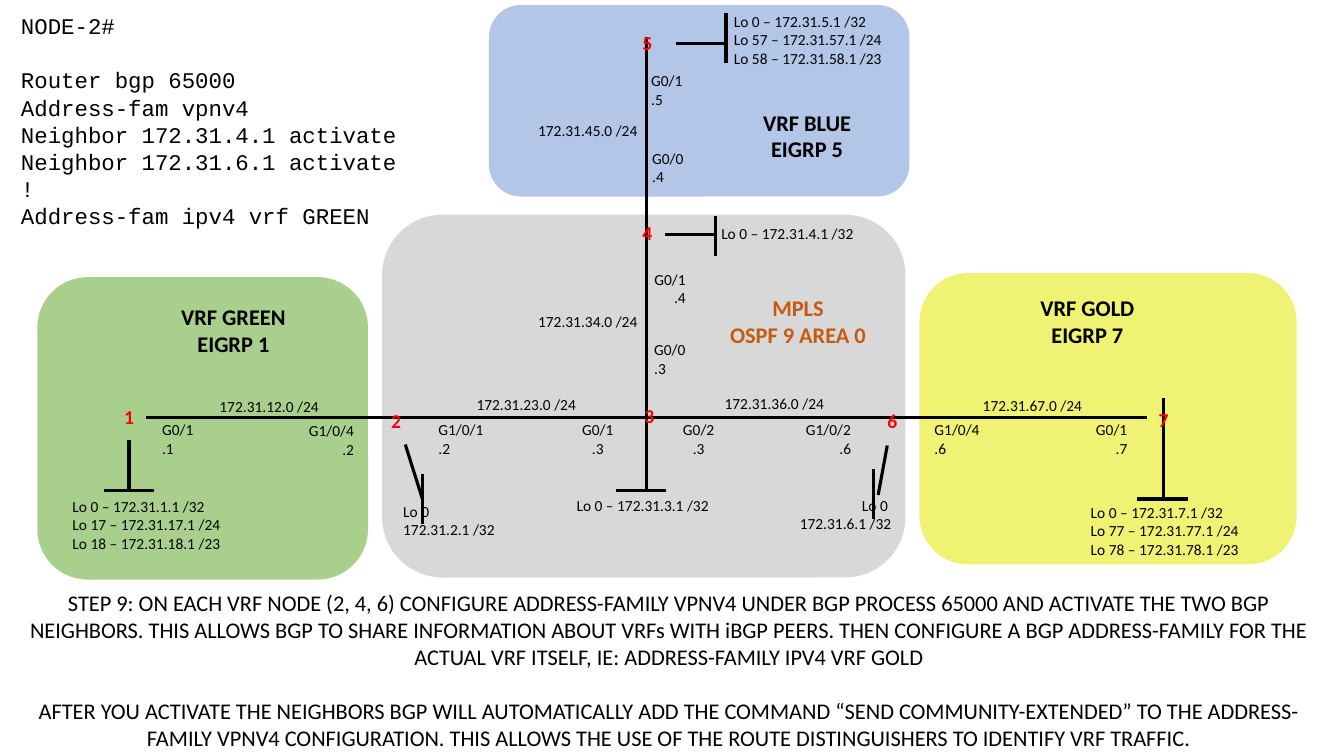
from pptx import Presentation
from pptx.dml.color import RGBColor
from pptx.enum.shapes import MSO_CONNECTOR as Link, MSO_SHAPE as Shape
from pptx.enum.text import PP_ALIGN as Align
from pptx.oxml.ns import qn
from pptx.util import Inches, Pt
from lxml import etree

L, C, R = Align.LEFT, Align.CENTER, Align.RIGHT


def color(code):
    return RGBColor.from_string(code)


def write(x, y, w, h, text, align=L, size=11, code="000000",
          bold=False, face="Calibri", wrap=True):
    box = slide.shapes.add_textbox(Inches(x), Inches(y), Inches(w), Inches(h))
    frame = box.text_frame
    frame.text = text
    frame.word_wrap = wrap
    for para in frame.paragraphs:
        para.alignment = align
        for run in para.runs:
            font = run.font
            font.name, font.size, font.bold = face, Pt(size), bold
            font.color.rgb = color(code)
    return frame


deck = Presentation()
deck.slide_width, deck.slide_height = Inches(13.33), Inches(7.5)
slide = deck.slides.add_slide(deck.slide_layouts[6])

# Routing areas
areas = [
    (4.85, 0.05, 4.17, 1.9, "B3C6E7"),
    (9.12, 2.71, 3.74, 2.89, "EFF272"),
    (0.37, 2.75, 3.28, 3, "A8D08C"),
    (3.79, 2.13, 5.19, 3.6, "D8D8D8"),
]
for x, y, w, h, code in areas:
    area = slide.shapes.add_shape(
        Shape.ROUNDED_RECTANGLE, Inches(x), Inches(y), Inches(w), Inches(h))
    area.shadow.inherit = False
    area.fill.solid()
    area.fill.fore_color.rgb = color(code)
    area.line.fill.background()

# Links between nodes, then stems and bars of the loopbacks
links = [
    (6.41, 4.87, 6.41, 0.37), (1.45, 4.14, 11.38, 4.14),
    (1.28, 4.37, 1.28, 4.87), (1.03, 4.87, 1.53, 4.87),
    (4.02, 4.41, 4.19, 4.95), (4.19, 5.2, 4.19, 4.7),
    (6.11, 4.87, 6.61, 4.87),
    (6.6, 2.33, 7.1, 2.33), (7.1, 2.54, 7.1, 2.14),
    (7.2, 0.43, 6.7, 0.43), (7.2, 0.13, 7.2, 0.63),
    (8.8, 4.42, 8.71, 4.91), (8.66, 5.15, 8.66, 4.65),
    (11.54, 4.95, 11.54, 3.95), (11.28, 4.95, 11.78, 4.95),
]
for ends in links:
    link = slide.shapes.add_connector(Link.STRAIGHT, *map(Inches, ends))
    link.line.color.rgb = color("000000")
    link.line.width = Pt(2.25)
    etree.SubElement(link._element.spPr, qn("a:effectLst"))

# Port names with host numbers
ports = [
    (6.37, 1.43, 0.76, L, "G0/0\n.4"),
    (6.36, 2.63, 0.54, R, "G0/1\n.4"),
    (6.36, 0.66, 0.62, L, "G0/1\n.5"),
    (6.39, 3.33, 0.76, L, "G0/0\n.3"),
    (1.51, 4.12, 0.76, L, "G0/1\n.1"),
    (2.85, 4.13, 0.76, R, "G1/0/4\n.2"),
    (4.25, 4.12, 1.07, L, "G1/0/1\n.2"),
    (5.55, 4.12, 0.76, C, "G0/1\n.3"),
    (6.55, 4.12, 0.76, C, "G0/2\n.3"),
    (7.43, 4.12, 1.11, R, "G1/0/2\n.6"),
    (9.17, 4.12, 0.76, L, "G1/0/4\n.6"),
    (10.52, 4.12, 0.76, R, "G0/1\n.7"),
]
for x, y, w, align, text in ports:
    write(x, y, w, 0.47, text, align)

# Subnets
nets = [(5.04, 1.15, 45), (5.04, 3.05, 34), (1.88, 3.89, 12),
        (4.43, 3.87, 23), (6.89, 3.86, 36), (9.45, 3.88, 67)]
for x, y, net in nets:
    write(x, y, 1.58, 0.29, f"172.31.{net}.0 /24", C)

# Loopbacks: three at each outer node, one at each core node
for x, y, n in [(0.62, 4.88, 1), (7.18, 0.07, 5), (10.72, 4.94, 7)]:
    write(x, y, 2.99 if n < 7 else 2.5, 0.66,
          f"Lo 0 – 172.31.{n}.1 /32\n"
          f"Lo {n if n > 1 else 1}7 – 172.31.{n}7.1 /24\n"
          f"Lo {n}8 – 172.31.{n}8.1 /23")
write(3.9, 4.93, 1.58, 0.47, "Lo 0\n172.31.2.1 /32")
write(5.62, 4.87, 2.99, 0.29, "Lo 0 – 172.31.3.1 /32")
write(6.95, 2.17, 1.72, 0.29, "Lo 0 – 172.31.4.1 /32", C)
write(7.36, 4.87, 1.58, 0.47, "Lo 0 \n172.31.6.1 /32", R)

# Node numbers
nodes = [(1.13, 3.97), (3.78, 4.01), (6.29, 3.96), (6.27, 2.14),
         (6.27, 0.26), (8.7, 4.01), (11.39, 4)]
for n, (x, y) in enumerate(nodes, 1):
    write(x, y, 0.3, 0.34, str(n), C, 14, "FF0000", True, wrap=False)

# Area names
names = [
    (7.13, 2.87, 1.57, "C55A11", "MPLS\nOSPF 9 AREA 0"),
    (1.69, 2.96, 1.25, "000000", "VRF GREEN\nEIGRP 1"),
    (7.46, 1.03, 1.09, "000000", "VRF BLUE\nEIGRP 5"),
    (10.21, 2.87, 1.15, "000000", "VRF GOLD\nEIGRP 7"),
]
for x, y, w, code, text in names:
    write(x, y, w, 0.64, text, C, 16, code, True, wrap=False)

# Step text
step = write(
    0.03, 5.8, 13.21, 1.7,
    "STEP 9: ON EACH VRF NODE (2, 4, 6) CONFIGURE ADDRESS-FAMILY VPNV4 UNDER "
    "BGP PROCESS 65000 AND ACTIVATE THE TWO BGP NEIGHBORS. THIS ALLOWS BGP TO "
    "SHARE INFORMATION ABOUT VRFs WITH iBGP PEERS. THEN CONFIGURE A BGP "
    "ADDRESS-FAMILY FOR THE ACTUAL VRF ITSELF, IE: ADDRESS-FAMILY IPV4 VRF GOLD\n"
    "AFTER YOU ACTIVATE THE NEIGHBORS BGP WILL AUTOMATICALLY ADD THE COMMAND "
    "“SEND COMMUNITY-EXTENDED” TO THE ADDRESS-FAMILY VPNV4 CONFIGURATION. THIS "
    "ALLOWS THE USE OF THE ROUTE DISTINGUISHERS TO IDENTIFY VRF TRAFFIC.",
    C, 16)
step.paragraphs[1].space_before = Pt(19.5)

# Router commands
cmds = write(
    0.11, 0.07, 3.98, 2.26,
    "NODE-2#\nRouter bgp 65000\nAddress-fam vpnv4\n"
    "Neighbor 172.31.4.1 activate\nNeighbor 172.31.6.1 activate\n!\n"
    "Address-fam ipv4 vrf GREEN",
    size=16, face="Courier New")
for para in cmds.paragraphs:
    para.line_spacing = Pt(19.4)
cmds.paragraphs[1].space_before = Pt(19.4)

deck.save("out.pptx")
